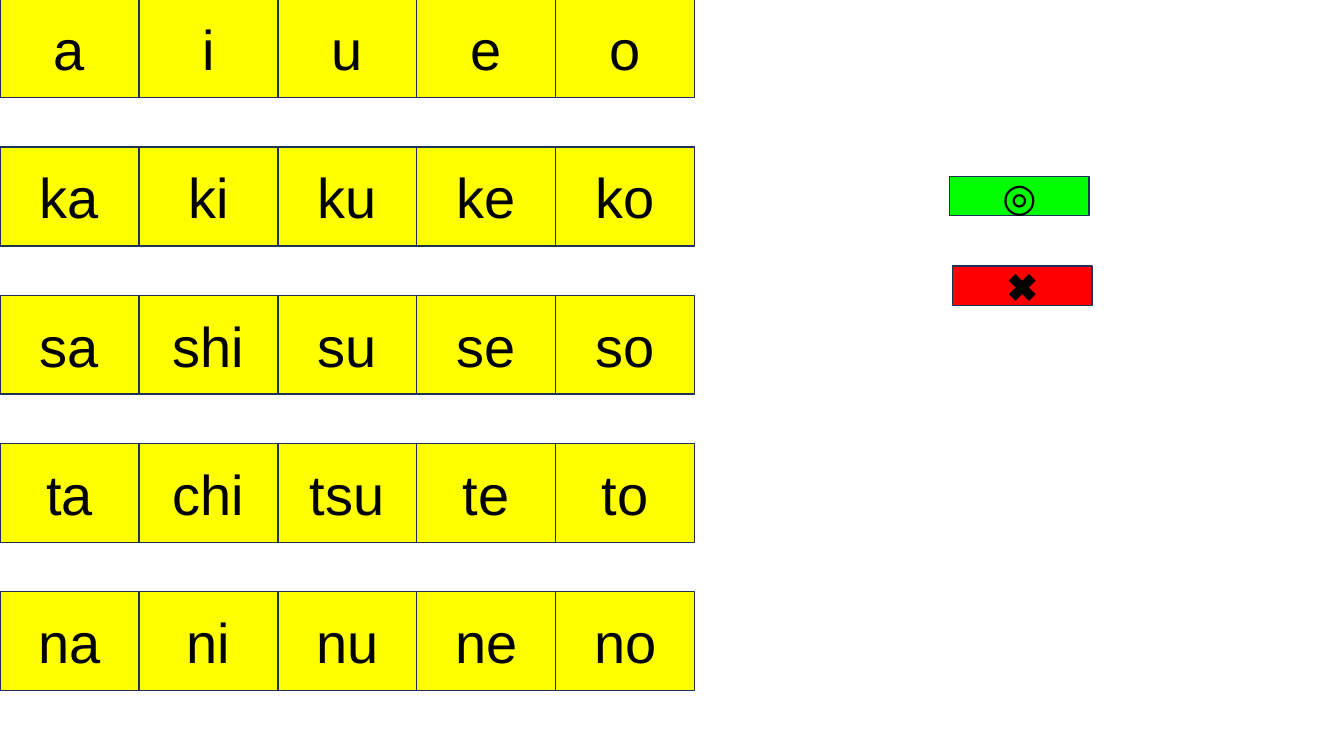
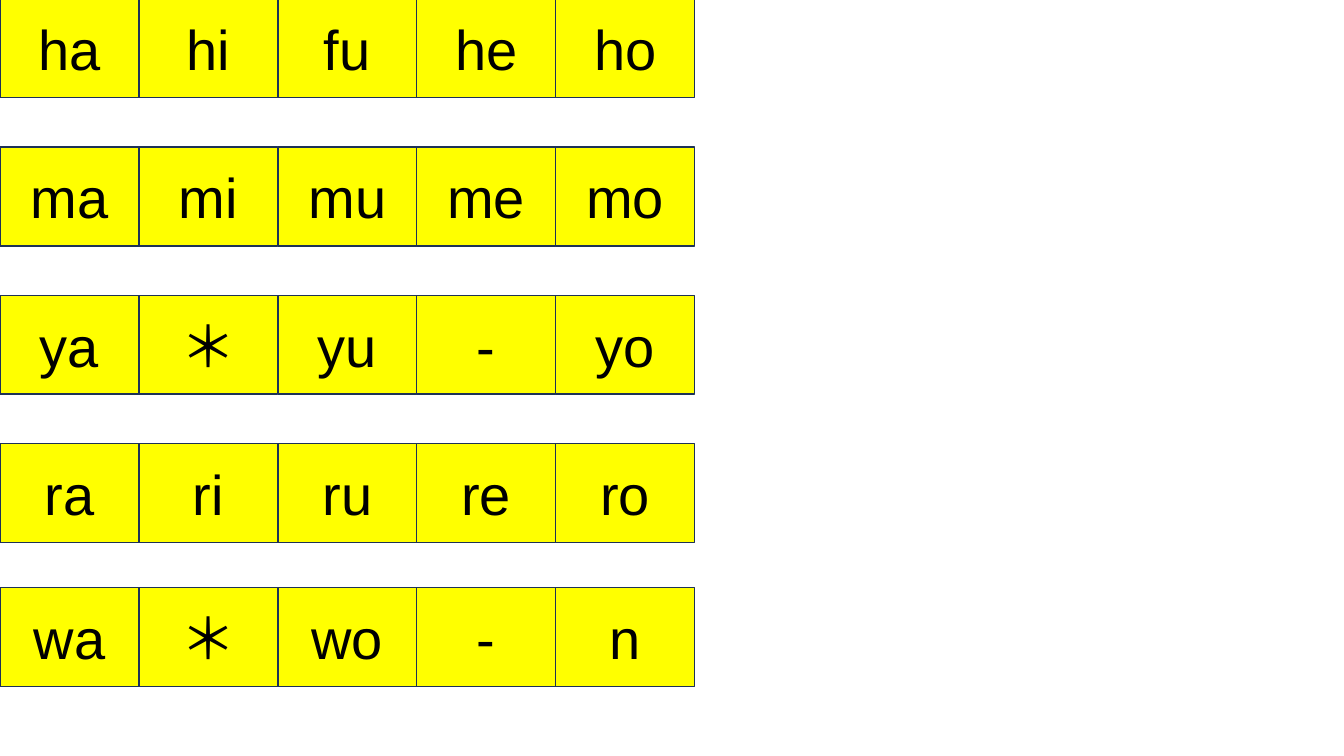
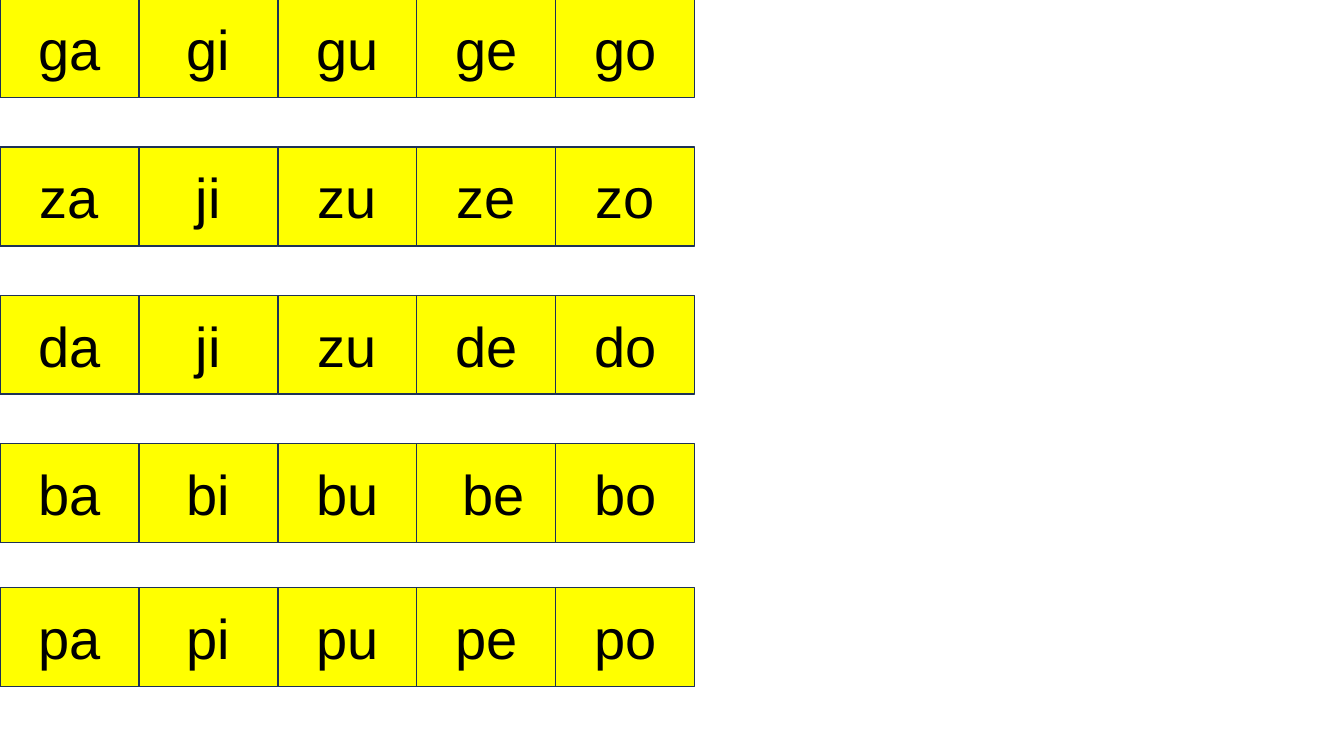
import pptx
import pptx.dml.color
import pptx.enum.shapes
import pptx.enum.text
import pptx.util

Inches = pptx.util.Inches

COLOURS = {
    "card": "FFFF00",
    "right": "00FF00",
    "wrong": "FF0000",
    "outline": "1E3256",
    "text": "000000",
}
CARD_HEIGHT = Inches(0.98)
ROW_PITCH = Inches(1.47)
MARK_SIZE = (Inches(1.38), Inches(0.39))
CARD_FONT = {"name": "Arial", "size": pptx.util.Pt(40)}
MARK_FONT = {"name": "Arial", "size": pptx.util.Pt(28)}

# Each board: its box and its rows of syllables
BOARD_LEFT, BOARD_TOP, BOARD_WIDTH = Inches(0), Inches(-0.01), Inches(6.89)
BOARDS = [
    (Inches(6.87), [
        ["a", "i", "u", "e", "o"],
        ["ka", "ki", "ku", "ke", "ko"],
        ["sa", "shi", "su", "se", "so"],
        ["ta", "chi", "tsu", "te", "to"],
        ["na", "ni", "nu", "ne", "no"],
    ]),
    (Inches(6.82), [
        ["ha", "hi", "fu", "he", "ho"],
        ["ma", "mi", "mu", "me", "mo"],
        ["ya", "＊", "yu", "-", "yo"],
        ["ra", "ri", "ru", "re", "ro"],
        ["wa", "＊", "wo", "-", "n"],
    ]),
    (Inches(6.82), [
        ["ga", "gi", "gu", "ge", "go"],
        ["za", "ji", "zu", "ze", "zo"],
        ["da", "ji", "zu", "de", "do"],
        ["ba", "bi", "bu", " be", "bo"],
        ["pa", "pi", "pu", "pe", "po"],
    ]),
]


def colour(name):
    return pptx.dml.color.RGBColor.from_string(COLOURS[name])


def add_card(page, box, text, fill, font):
    """Outlined rectangle with centred text."""
    card = page.shapes.add_shape(pptx.enum.shapes.MSO_SHAPE.RECTANGLE, *box)
    card.shadow.inherit = False
    card.fill.solid()
    card.fill.fore_color.rgb = colour(fill)
    card.line.color.rgb = colour("outline")
    card.line.width = pptx.util.Pt(1)
    card.text_frame.vertical_anchor = pptx.enum.text.MSO_ANCHOR.MIDDLE
    para = card.text_frame.paragraphs[0]
    para.alignment = pptx.enum.text.PP_ALIGN.CENTER
    span = para.add_run()
    span.text = text
    span.font.color.rgb = colour("text")
    for attribute, value in font.items():
        setattr(span.font, attribute, value)


def add_board(page, box, rows):
    """Rows at an even pitch; the last one rests on the bottom of the box."""
    left, top, width, height = box
    card_width = width // len(rows[0])
    for row_index, row in enumerate(rows):
        offset = min(row_index * ROW_PITCH, height - CARD_HEIGHT)
        for column, syllable in enumerate(row):
            card_box = (left + column * card_width, top + offset,
                        card_width, CARD_HEIGHT)
            add_card(page, card_box, syllable, "card", CARD_FONT)


def add_marks(page, left, top):
    """Right and wrong answer marks."""
    right_box = (left, top, *MARK_SIZE)
    wrong_box = (left + Inches(0.03), top + Inches(0.89), *MARK_SIZE)
    add_card(page, right_box, "◎", "right", MARK_FONT)
    add_card(page, wrong_box, "✖", "wrong", MARK_FONT)


def main():
    deck = pptx.Presentation()
    deck.slide_width, deck.slide_height = Inches(13.33), Inches(7.5)
    blank = deck.slide_layouts[6]

    # Syllable boards
    for height, rows in BOARDS:
        page = deck.slides.add_slide(blank)
        add_board(page, (BOARD_LEFT, BOARD_TOP, BOARD_WIDTH, height), rows)

    # Answer marks on the first slide
    add_marks(deck.slides[0], Inches(9.42), Inches(1.75))
    deck.save("out.pptx")


if __name__ == "__main__":
    main()
